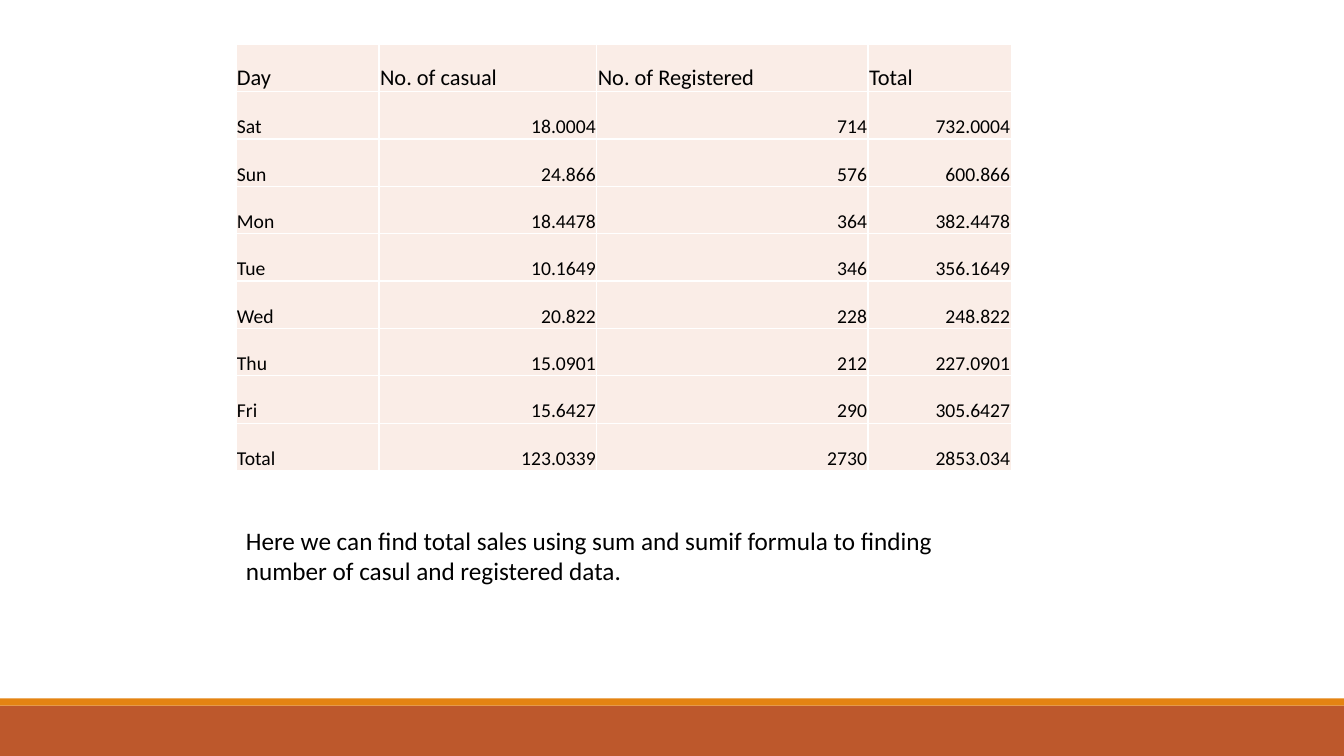
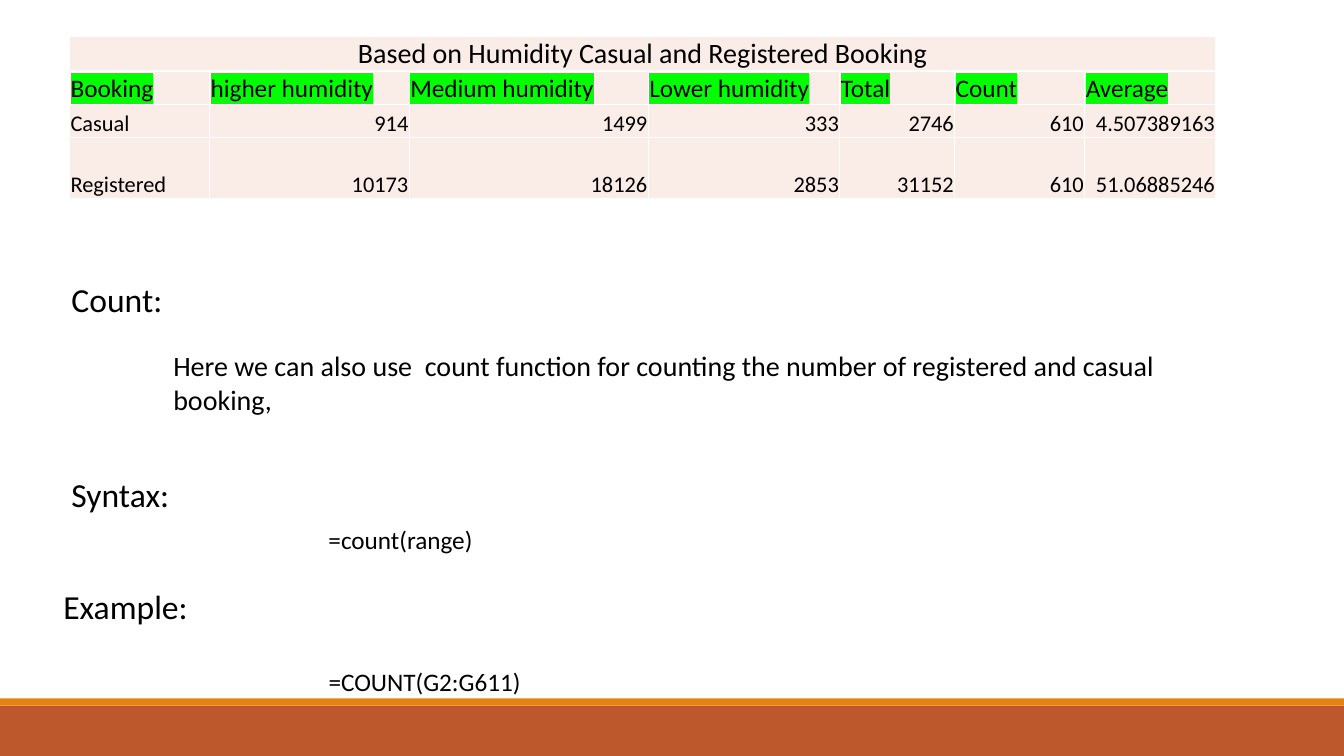
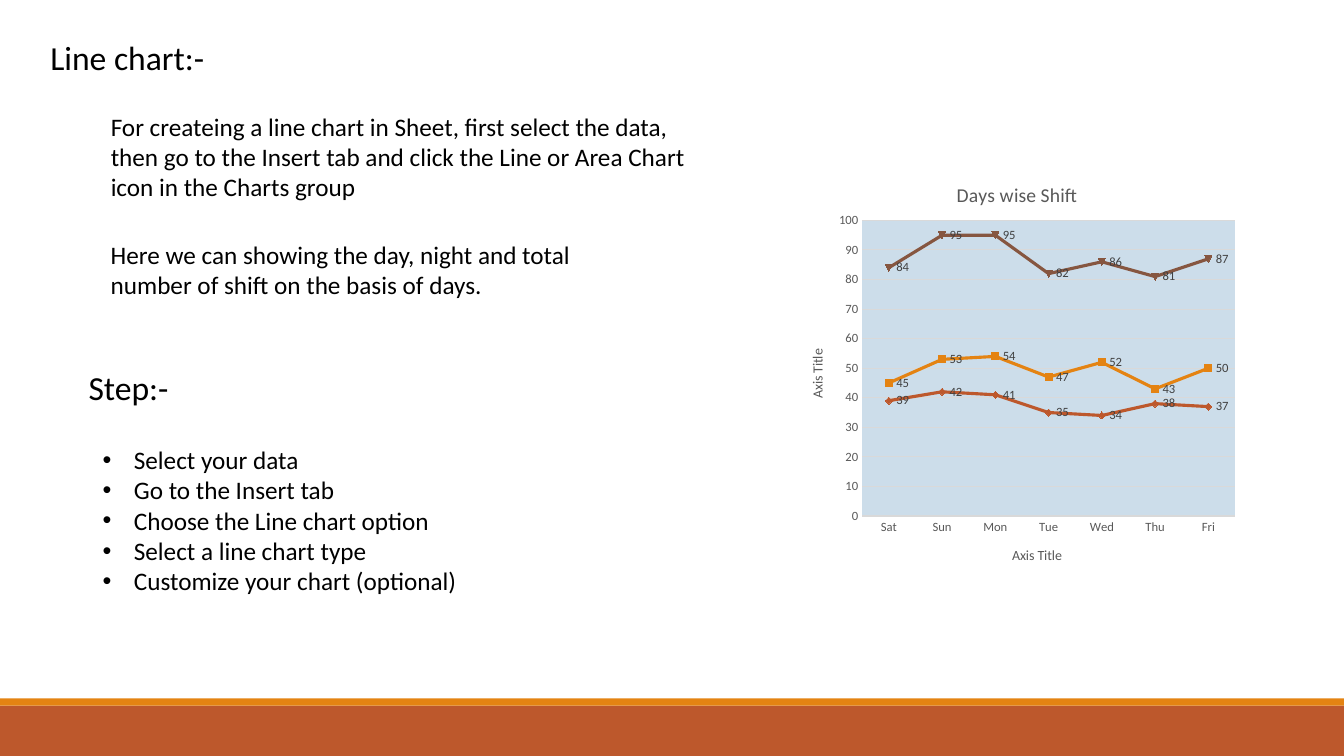
"""Build three slides on booking tables, the count formula and a line chart."""
from lxml import etree
from pptx import Presentation
from pptx.chart.data import CategoryChartData
from pptx.dml.color import RGBColor
from pptx.enum.chart import XL_CHART_TYPE, XL_LABEL_POSITION, XL_TICK_MARK
from pptx.enum.shapes import MSO_SHAPE
from pptx.enum.text import MSO_ANCHOR, PP_ALIGN
from pptx.oxml import parse_xml
from pptx.oxml.ns import nsdecls, qn
from pptx.util import Inches, Pt

RECT = MSO_SHAPE.RECTANGLE
LINE = XL_CHART_TYPE.LINE
RIGHT_OF = XL_LABEL_POSITION.RIGHT
NO_TICK = XL_TICK_MARK.NONE
BOTTOM = MSO_ANCHOR.BOTTOM
LEFT, CENTER, RIGHT = PP_ALIGN.LEFT, PP_ALIGN.CENTER, PP_ALIGN.RIGHT

FONT = "Calibri"
BLACK = RGBColor(0x00, 0x00, 0x00)
RUST = RGBColor(0xBD, 0x58, 0x2C)
ORANGE = RGBColor(0xE4, 0x83, 0x12)
BROWN = RGBColor(0x86, 0x56, 0x40)
BLUSH = RGBColor(0xFA, 0xED, 0xE7)
SKY = RGBColor(0xCC, 0xDD, 0xEA)
GREY = RGBColor(0x59, 0x59, 0x59)
DARK = RGBColor(0x40, 0x40, 0x40)
PALE = RGBColor(0xD9, 0xD9, 0xD9)

HEAD, LARGE, BODY = 24, 20, 18
DAYS = ["Sat", "Sun", "Mon", "Tue", "Wed", "Thu", "Fri"]

SALES = [
    ["Day", "No. of casual", "No. of Registered", "Total"],
    ["Sat", "18.0004", "714", "732.0004"],
    ["Sun", "24.866", "576", "600.866"],
    ["Mon", "18.4478", "364", "382.4478"],
    ["Tue", "10.1649", "346", "356.1649"],
    ["Wed", "20.822", "228", "248.822"],
    ["Thu", "15.0901", "212", "227.0901"],
    ["Fri", "15.6427", "290", "305.6427"],
    ["Total", "123.0339", "2730", "2853.034"],
]
HUMID = [
    ["Based on Humidity Casual and Registered Booking"] + [""] * 6,
    ["Booking", "higher humidity", "Medium humidity", "Lower humidity",
     "Total", "Count", "Average"],
    ["Casual", "914", "1499", "333", "2746", "610", "4.507389163"],
    ["Registered", "10173", "18126", "2853", "31152", "610", "51.06885246"],
]
SHIFTS = [
    ("Series 1", [45, 53, 54, 47, 52, 43, 50], ORANGE),
    ("Series 2", [39, 42, 41, 35, 34, 38, 37], RUST),
    ("Series 3", [84, 95, 95, 82, 86, 81, 87], BROWN),
]
STEPS = ["Select your data", "Go to the Insert tab",
         "Choose the Line chart option", "Select a line chart type",
         "Customize your chart (optional)"]


def set_font(font, size, color=BLACK):
    font.name = FONT
    font.size = Pt(size)
    font.bold = False
    font.color.rgb = color


def add_band(slide, top, height, color):
    band = slide.shapes.add_shape(RECT, 0, Inches(top), Inches(13.33), Inches(height))
    band.shadow.inherit = False
    band.fill.solid()
    band.fill.fore_color.rgb = color
    band.line.fill.background()


def add_page(deck):
    slide = deck.slides.add_slide(deck.slide_layouts[6])
    add_band(slide, 7, 0.5, RUST)
    add_band(slide, 6.93, 0.07, ORANGE)
    return slide


def add_bullet(para):
    props = para._p.get_or_add_pPr()
    props.set("marL", str(Inches(0.31)))
    props.set("indent", str(-Inches(0.31)))
    etree.SubElement(props, qn("a:buFont")).set("typeface", "Arial")
    etree.SubElement(props, qn("a:buChar")).set("char", "•")


def add_text(slide, box, text, size=BODY, bullets=False):
    frame = slide.shapes.add_textbox(*map(Inches, box)).text_frame
    frame.word_wrap = True
    frame.text = text
    for para in frame.paragraphs:
        set_font(para.runs[0].font, size)
        if bullets:
            add_bullet(para)


def add_edges(cell):
    props = cell._tc.get_or_add_tcPr()
    for spot, side in enumerate(("lnL", "lnR", "lnT", "lnB")):
        props.insert(spot, parse_xml(
            f'<a:{side} {nsdecls("a")} w="12700"><a:solidFill>'
            f'<a:srgbClr val="FFFFFF"/></a:solidFill></a:{side}>'))


def mark_run(run):
    mark = parse_xml(f'<a:highlight {nsdecls("a")}><a:srgbClr val="00FF00"/></a:highlight>')
    run._r.rPr.find(qn("a:solidFill")).addnext(mark)


def fill_cell(cell, text, size, align):
    cell.margin_left = cell.margin_right = cell.margin_top = Inches(0.01)
    cell.margin_bottom = 0
    cell.vertical_anchor = BOTTOM
    cell.fill.solid()
    cell.fill.fore_color.rgb = BLUSH
    add_edges(cell)
    para = cell.text_frame.paragraphs[0]
    para.alignment = align
    if text:
        para.text = text
        set_font(para.runs[0].font, size)


def add_grid(slide, left, top, cols, rows, data, sizes, heads):
    grid = slide.shapes.add_table(
        len(rows), len(cols), Inches(left), Inches(top),
        Inches(sum(cols)), Inches(sum(rows))).table
    grid.first_row = grid.horz_banding = False
    for col, width in zip(grid.columns, cols):
        col.width = Inches(width)
    for row, height in zip(grid.rows, rows):
        row.height = Inches(height)
    for i, line in enumerate(data):
        for j, text in enumerate(line):
            align = RIGHT if i >= heads and j else LEFT
            fill_cell(grid.cell(i, j), text, sizes[i], align)
    return grid


def place(part, **spots):
    layout = part.find(qn("c:layout"))
    if layout is None:
        layout = etree.Element(qn("c:layout"))
        part.insert(0, layout)
    manual = etree.SubElement(layout, qn("c:manualLayout"))
    for tag, value in spots.items():
        etree.SubElement(manual, qn(f"c:{tag}")).set("val", str(value))


def set_title(owner, text, size):
    frame = owner.text_frame
    frame.text = text
    set_font(frame.paragraphs[0].runs[0].font, size, GREY)
    return frame


def style_axis(axis):
    axis.major_tick_mark = axis.minor_tick_mark = NO_TICK
    set_font(axis.tick_labels.font, 9, GREY)
    return set_title(axis.axis_title, "Axis Title", 10)


def style_line(series, color):
    series.smooth = False
    series.format.line.color.rgb = color
    series.format.line.width = Pt(2.25)
    series.marker.style = None
    labels = series.data_labels
    labels.show_value = True
    labels.position = RIGHT_OF
    set_font(labels.font, 9, DARK)


def add_lines(slide, box):
    data = CategoryChartData()
    data.categories = DAYS
    for name, values, _ in SHIFTS:
        data.add_series(name, values)
    chart = slide.shapes.add_chart(LINE, *map(Inches, box), data).chart
    set_font(chart.font, 10)
    chart.has_legend = False
    chart.has_title = True
    set_title(chart.chart_title, "Days wise Shift", 14)
    place(chart.chart_title._element, xMode="edge", yMode="edge", x=0.36, y=0.05)
    days, scale = chart.category_axis, chart.value_axis
    style_axis(days)
    days.format.line.color.rgb = PALE
    days.format.line.width = Pt(0.75)
    turn = style_axis(scale)._txBody.bodyPr
    turn.set("rot", "-5400000")
    turn.set("vert", "horz")
    scale.minimum_scale, scale.maximum_scale, scale.major_unit = 0, 100, 10
    scale.format.line.fill.background()
    scale.major_gridlines.format.line.color.rgb = PALE
    scale.major_gridlines.format.line.width = Pt(0.75)
    plot = chart.plots[0]
    plot.vary_by_categories = False
    for series, (_, _, color) in zip(plot.series, SHIFTS):
        style_line(series, color)
    area = chart._chartSpace.chart.plotArea
    place(area, layoutTarget="inner", xMode="edge", yMode="edge",
          x=0.16, y=0.15, w=0.82, h=0.69)
    area.append(parse_xml(
        f'<c:spPr {nsdecls("c", "a")}><a:solidFill>'
        f'<a:srgbClr val="{SKY}"/></a:solidFill></c:spPr>'))


def sales_page(deck):
    slide = add_page(deck)
    add_grid(slide, 2.34, 0.44, [1.42, 2.16, 2.69, 1.42], [0.47] * 9,
             SALES, [16] + [14] * 8, 1)
    add_text(slide, (2.34, 5.16, 7.17, 1.01),
             "Here we can find total sales using sum and sumif formula to "
             "finding number of casul and registered data.")


def count_page(deck):
    slide = add_page(deck)
    grid = add_grid(slide, 0.69, 0.36, [1.39, 1.98, 2.37, 1.9, 1.14, 1.29, 1.3],
                    [0.25, 0.33, 0.33, 0.61], HUMID, [LARGE, BODY, 16, 16], 2)
    grid.cell(0, 0).merge(grid.cell(0, 6))
    grid.cell(0, 0).text_frame.paragraphs[0].alignment = CENTER
    for cell in grid.rows[1].cells:
        mark_run(cell.text_frame.paragraphs[0].runs[0])
    add_text(slide, (0.61, 2.72, 2.01, 0.5), "Count:", HEAD)
    add_text(slide, (1.62, 3.41, 10.45, 1.08),
             "Here we can also use  count function for counting the number of "
             "registered and casual booking,", LARGE)
    add_text(slide, (0.61, 4.65, 1.57, 0.5), "Syntax:", HEAD)
    add_text(slide, (3.16, 5.15, 5.77, 0.4), "=count(range)")
    add_text(slide, (0.53, 5.76, 1.73, 0.5), "Example:", HEAD)
    add_text(slide, (3.16, 6.56, 3.01, 0.4), "=COUNT(G2:G611)")


def chart_page(deck):
    slide = add_page(deck)
    add_text(slide, (0.4, 0.32, 2.39, 0.5), "Line chart:-", HEAD)
    add_text(slide, (1, 1.05, 6.09, 1.01),
             "For createing a line chart in Sheet, first select the data, then go "
             "to the Insert tab and click the Line or Area Chart icon in the "
             "Charts group")
    add_lines(slide, (7.83, 1.55, 4.51, 4.25))
    add_text(slide, (1, 2.32, 5.2, 0.71),
             "Here we can showing the day, night and total number of shift on "
             "the basis of days.")
    add_text(slide, (0.92, 4.36, 4.04, 1.62), "\n".join(STEPS), bullets=True)
    add_text(slide, (0.78, 3.59, 1.7, 0.5), "Step:-", HEAD)


def main():
    deck = Presentation()
    deck.slide_width, deck.slide_height = Inches(13.33), Inches(7.5)
    sales_page(deck)
    count_page(deck)
    chart_page(deck)
    deck.save("out.pptx")


if __name__ == "__main__":
    main()
